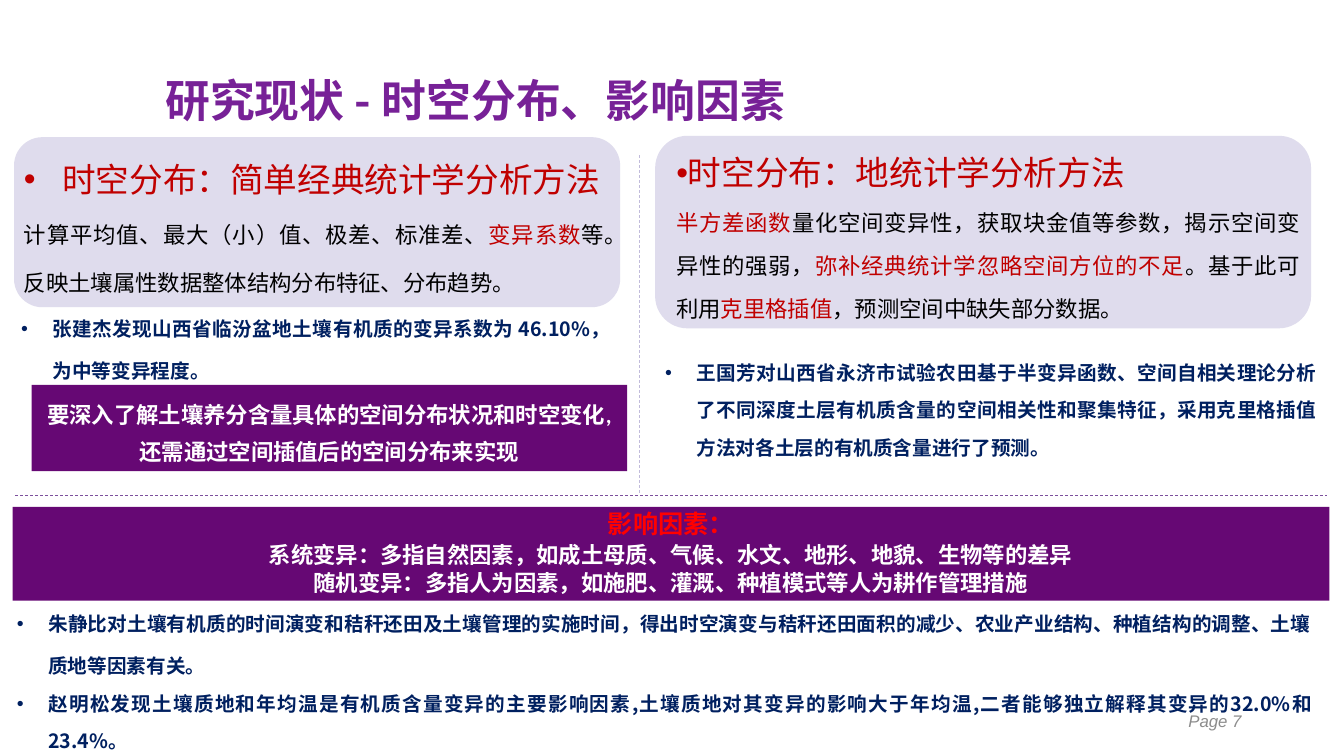
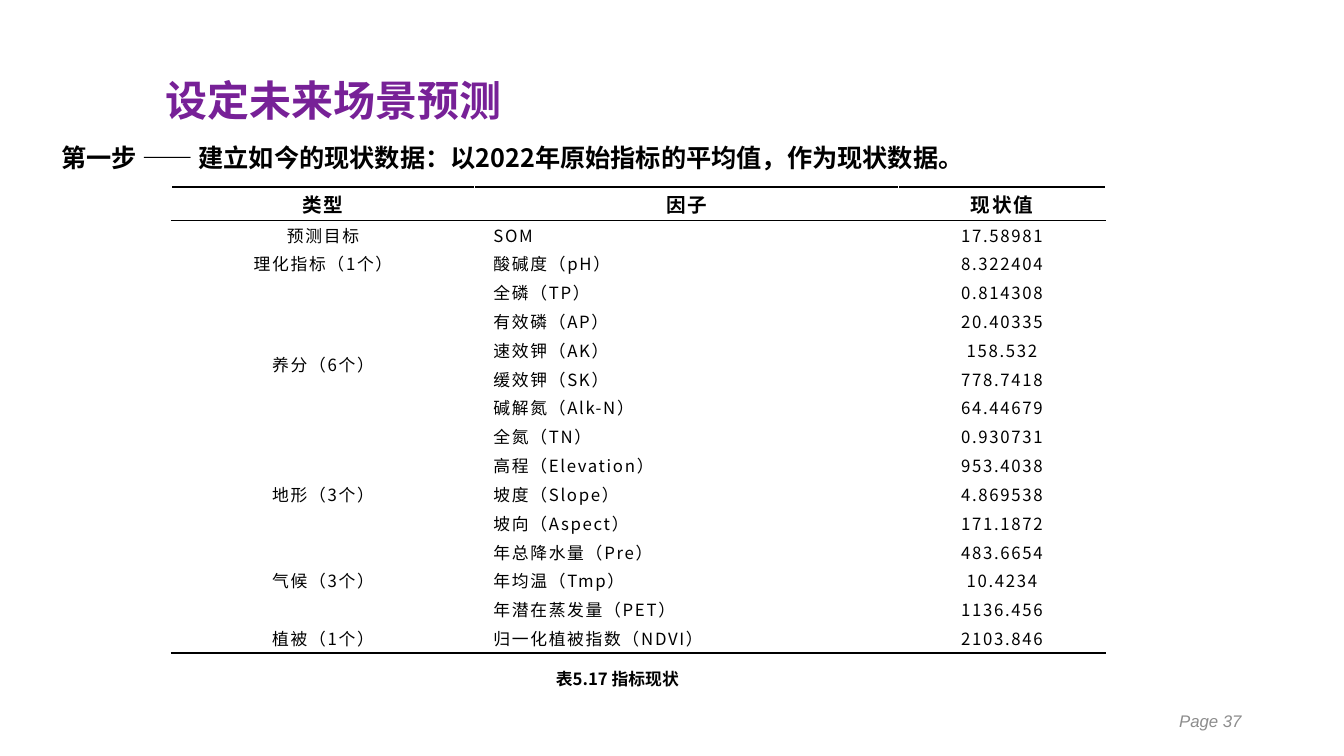
from lxml.etree import SubElement
from pptx import Presentation
from pptx.dml.color import RGBColor
from pptx.enum.dml import MSO_LINE
from pptx.enum.shapes import MSO_CONNECTOR, MSO_SHAPE
from pptx.enum.text import MSO_ANCHOR, PP_ALIGN
from pptx.oxml import parse_xml
from pptx.oxml.ns import nsdecls, qn
from pptx.util import Pt

# Shared style
CJK = "Noto Sans CJK SC"
PURPLE, BAND, LAVENDER = "772197", "660874", "DFDCED"
NAVY, RED, BLACK, WHITE, GRAY = "002060", "C00000", "000000", "FFFFFF", "8C8C8C"
LEFT, CENTER, RIGHT, JUSTIFY = PP_ALIGN.LEFT, PP_ALIGN.CENTER, PP_ALIGN.RIGHT, PP_ALIGN.JUSTIFY
LINE_HEIGHT = 1.2  # single line pitch relative to the text size


def write(paragraph, runs, size, align=LEFT, spacing=1, bold=False, italic=False,
          latin=CJK, bullet=False, margin=0, indent=0, before=0, tracking=0):
    """Fill one paragraph with (text, colour) runs."""
    properties = paragraph._p.get_or_add_pPr()
    properties.set("marL", str(Pt(margin)))
    properties.set("indent", str(Pt(indent)))
    if bullet:
        SubElement(properties, qn("a:buFont"), typeface="Arial")
        SubElement(properties, qn("a:buChar"), char="•")
    paragraph.alignment = align
    paragraph.line_spacing = Pt(round(size * spacing * LINE_HEIGHT, 1))
    paragraph.space_before = Pt(before)
    for text, color in runs:
        run = paragraph.add_run()
        run.text = text
        font = run.font
        font.size, font.bold, font.italic, font.name = Pt(size), bold, italic, latin
        font.color.rgb = RGBColor.from_string(color)
        run_properties = run._r.get_or_add_rPr()
        SubElement(run_properties, qn("a:ea"), typeface=CJK)
        if tracking:
            run_properties.set("spc", str(tracking))


def add_block(slide, box, paragraphs=(), preset=None, fill=None, anchor=MSO_ANCHOR.TOP):
    """Add a text box, or a filled preset shape, with its paragraphs."""
    place = [Pt(length) for length in box]
    if preset is None:
        block = slide.shapes.add_textbox(*place)
    else:
        block = slide.shapes.add_shape(preset, *place)
        block.shadow.inherit = False
        block.fill.solid()
        block.fill.fore_color.rgb = RGBColor.from_string(fill)
        block.line.fill.background()
    frame = block.text_frame
    frame.word_wrap = True
    frame.vertical_anchor = anchor
    for number, options in enumerate(paragraphs):
        write(frame.add_paragraph() if number else frame.paragraphs[0], **options)


deck = Presentation()
deck.slide_width, deck.slide_height = Pt(960), Pt(540)

# Titles and page numbers
slides = []
for title, size, page in [("研究现状 - 时空分布、影响因素", 32, "Page 7"),
                          ("设定未来场景预测", 30, "Page 37")]:
    slide = deck.slides.add_slide(deck.slide_layouts[6])
    slides.append(slide)
    add_block(slide, (111, 51, 658, 44),
              [dict(runs=[(title, PURPLE)], size=size, spacing=0.9, bold=True)],
              anchor=MSO_ANCHOR.MIDDLE)
    add_block(slide, (678, 500.4, 216, 28.8),
              [dict(runs=[(page, GRAY)], size=12, align=RIGHT, italic=True, latin="Arial")],
              anchor=MSO_ANCHOR.MIDDLE)
research, forecast = slides

# Research: lavender panels with the two methods
add_block(research, (10, 98, 433, 121.5), preset=MSO_SHAPE.ROUNDED_RECTANGLE, fill=LAVENDER)
add_block(research, (-26, 87, 481, 120), [
    dict(runs=[("时空分布：简单经典统计学分析方法", RED)], size=24, align=JUSTIFY,
         spacing=1.8, bullet=True, margin=63.4, indent=-27.4),
    dict(runs=[("计算平均值、最大（小）值、极差、标准差、", BLACK), ("变异系数", RED),
               ("等。反映土壤属性数据整体结构分布特征、分布趋势。", BLACK)],
         size=16, align=JUSTIFY, spacing=1.8, margin=36),
])
add_block(research, (468, 97, 468.5, 137.5), preset=MSO_SHAPE.ROUNDED_RECTANGLE, fill=LAVENDER)
add_block(research, (476, 88, 460, 143), [
    dict(runs=[("时空分布：地统计学分析方法", RED)], size=24, align=JUSTIFY,
         spacing=1.6, bullet=True, indent=-27.4),
    dict(runs=[("半方差函数", RED),
               ("量化空间变异性，获取块金值等参数，揭示空间变异性的强弱，", BLACK),
               ("弥补经典统计学忽略空间方位的不足", RED), ("。基于此可利用", BLACK),
               ("克里格插值", RED), ("，预测空间中缺失部分数据。", BLACK)],
         size=16, align=JUSTIFY, spacing=1.6),
])

# Research: findings of earlier studies
findings = [
    ((8, 209.5, 435, 68.5),
     [("张建杰发现山西省临汾盆地土壤有机质的变异系数为 46.10%，为中等变异程度。", 1.8)]),
    ((468, 244, 480, 93),
     [("王国芳对山西省永济市试验农田基于半变异函数、空间自相关理论分析了不同深度土层有机质含量的"
       "空间相关性和聚集特征，采用克里格插值方法对各土层的有机质含量进行了预测。", 1.6)]),
    ((5, 420, 939, 95),
     [("朱静比对土壤有机质的时间演变和秸秆还田及土壤管理的实施时间，得出时空演变与秸秆还田面积的减少、"
       "农业产业结构、种植结构的调整、土壤质地等因素有关。", 1.8),
      ("赵明松发现土壤质地和年均温是有机质含量变异的主要影响因素,土壤质地对其变异的影响大于年均温,"
       "二者能够独立解释其变异的32.0%和23.4%。", 1.6)]),
]
for box, statements in findings:
    add_block(research, box, [
        dict(runs=[(text, NAVY)], size=14, align=JUSTIFY, spacing=spacing, bold=True,
             bullet=True, margin=22.5, indent=-22.5)
        for text, spacing in statements])

# Research: purple bands
add_block(research, (22.5, 275, 425.5, 61.5), [
    dict(runs=[("要深入了解土壤养分含量具体的空间分布状况和时空变化,还需通过空间插值后的空间分布来实现",
                WHITE)],
         size=16, align=CENTER, spacing=1.4, bold=True, latin="Calibri"),
], MSO_SHAPE.RECTANGLE, BAND)
factors = [
    ("影响因素：", "FF0000", 18, 0),
    ("系统变异：多指自然因素，如成土母质、气候、水文、地形、地貌、生物等的差异", WHITE, 16, 3.2),
    ("随机变异：多指人为因素，如施肥、灌溉、种植模式等人为耕作管理措施", WHITE, 16, 3.2),
]
add_block(research, (9, 362, 940.5, 67), [
    dict(runs=[(text, color)], size=size, align=CENTER, spacing=0.9, bold=True, before=before)
    for text, color, size, before in factors
], MSO_SHAPE.RECTANGLE, BAND)

# Research: dashed dividers
for ends, color in [((456.5, 111, 456.5, 353.5), "C1BBDB"),
                    ((11, 353.5, 948, 353.5), "7C509D")]:
    divider = research.shapes.add_connector(MSO_CONNECTOR.STRAIGHT, *[Pt(end) for end in ends])
    divider.line.color.rgb = RGBColor.from_string(color)
    divider.line.width = Pt(0.5)
    divider.line.dash_style = MSO_LINE.DASH
    SubElement(divider._element.spPr, qn("a:effectLst"))

# Forecast: step and caption
for box, text, size in [
        ((36.5, 98, 694, 29), "第一步 —— 建立如今的现状数据：以2022年原始指标的平均值，作为现状数据。", 18),
        ((390, 474, 121, 22), "表5.17 指标现状", 12)]:
    add_block(forecast, box, [dict(runs=[(text, BLACK)], size=size, bold=True)])

# Forecast: table of current values
groups = [
    ("预测目标", [("SOM", "17.58981")]),
    ("理化指标（1个）", [("酸碱度（pH）", "8.322404")]),
    ("养分（6个）", [("全磷（TP）", "0.814308"), ("有效磷（AP）", "20.40335"),
                 ("速效钾（AK）", "158.532"), ("缓效钾（SK）", "778.7418"),
                 ("碱解氮（Alk-N）", "64.44679"), ("全氮（TN）", "0.930731")]),
    ("地形（3个）", [("高程（Elevation）", "953.4038"), ("坡度（Slope）", "4.869538"),
                 ("坡向（Aspect）", "171.1872")]),
    ("气候（3个）", [("年总降水量（Pre）", "483.6654"), ("年均温（Tmp）", "10.4234"),
                 ("年潜在蒸发量（PET）", "1136.456")]),
    ("植被（1个）", [("归一化植被指数（NDVI）", "2103.846")]),
]
rows = [("类型", "因子", "现状值")]
spans = []
for group, members in groups:
    spans.append((len(rows), len(rows) + len(members) - 1))
    for number, (factor, value) in enumerate(members):
        rows.append(("" if number else group, factor, value))

HEADER_HEIGHT, ROW_HEIGHT = 24, 20.6
last = len(rows) - 1
table = forecast.shapes.add_table(
    len(rows), 3, Pt(122.5), Pt(133.5), Pt(667), Pt(HEADER_HEIGHT + last * ROW_HEIGHT)).table
table.first_row = table.horz_banding = False
for column, width in zip(table.columns, (216.5, 303, 147.5)):
    column.width = Pt(width)

# Rules above and below the header, and under the last row
rules = {0: [("lnT", 1.5), ("lnB", 1)], 1: [("lnT", 1)], last: [("lnB", 1.5)]}
for row, texts in enumerate(rows):
    table.rows[row].height = Pt(ROW_HEIGHT if row else HEADER_HEIGHT)
    for column, text in enumerate(texts):
        cell = table.cell(row, column)
        cell.margin_left = cell.margin_right = Pt(13.5)
        cell.margin_top = cell.margin_bottom = Pt(0.7)
        cell.vertical_anchor = MSO_ANCHOR.MIDDLE
        cell.fill.background()
        if text:
            write(cell.text_frame.paragraphs[0], [(text, BLACK)], 12 if row else 14,
                  align=LEFT if row and column == 1 else CENTER, spacing=1.2,
                  bold=row == 0, tracking=120)
        for position, (side, width) in enumerate(rules.get(row, [])):
            cell._tc.get_or_add_tcPr().insert(position, parse_xml(
                f'<a:{side} {nsdecls("a")} w="{Pt(width)}"><a:solidFill>'
                f'<a:srgbClr val="{BLACK}"/></a:solidFill></a:{side}>'))
for first, final in spans:
    if final > first:
        table.cell(first, 0).merge(table.cell(final, 0))

deck.save("out.pptx")
